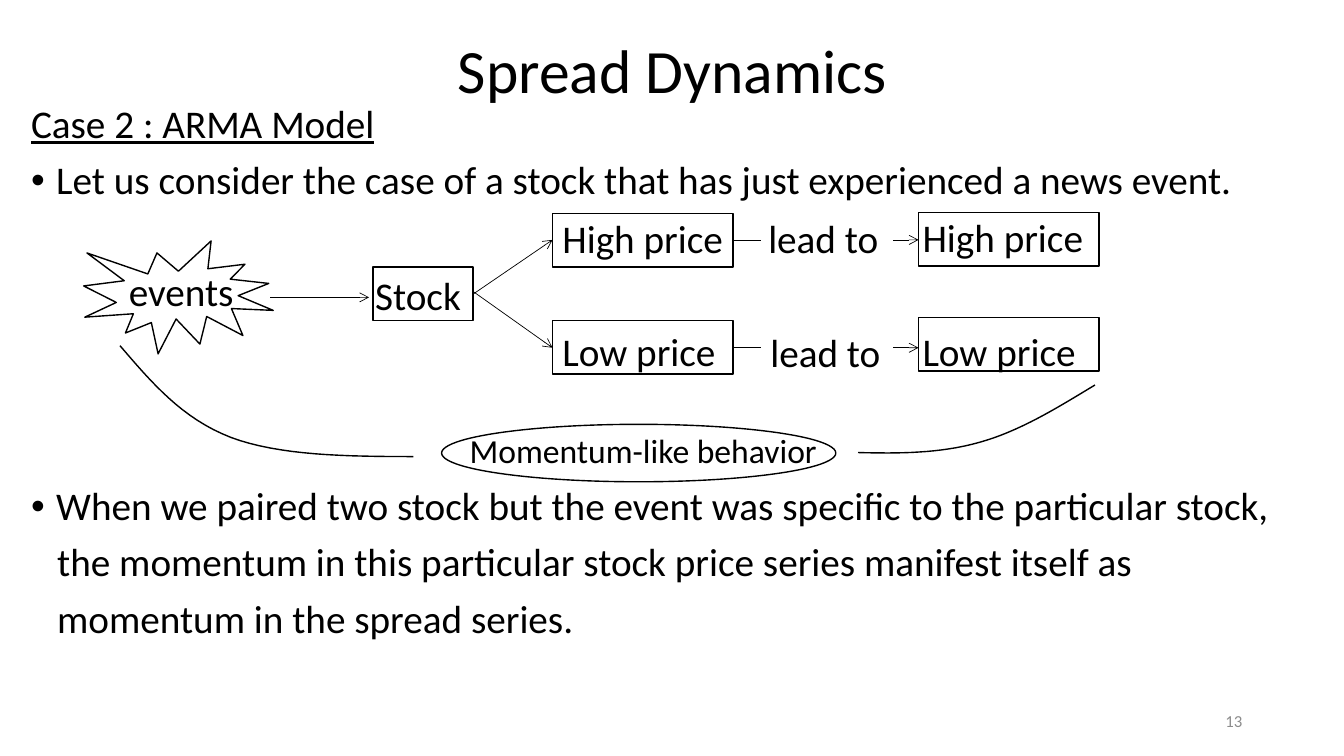
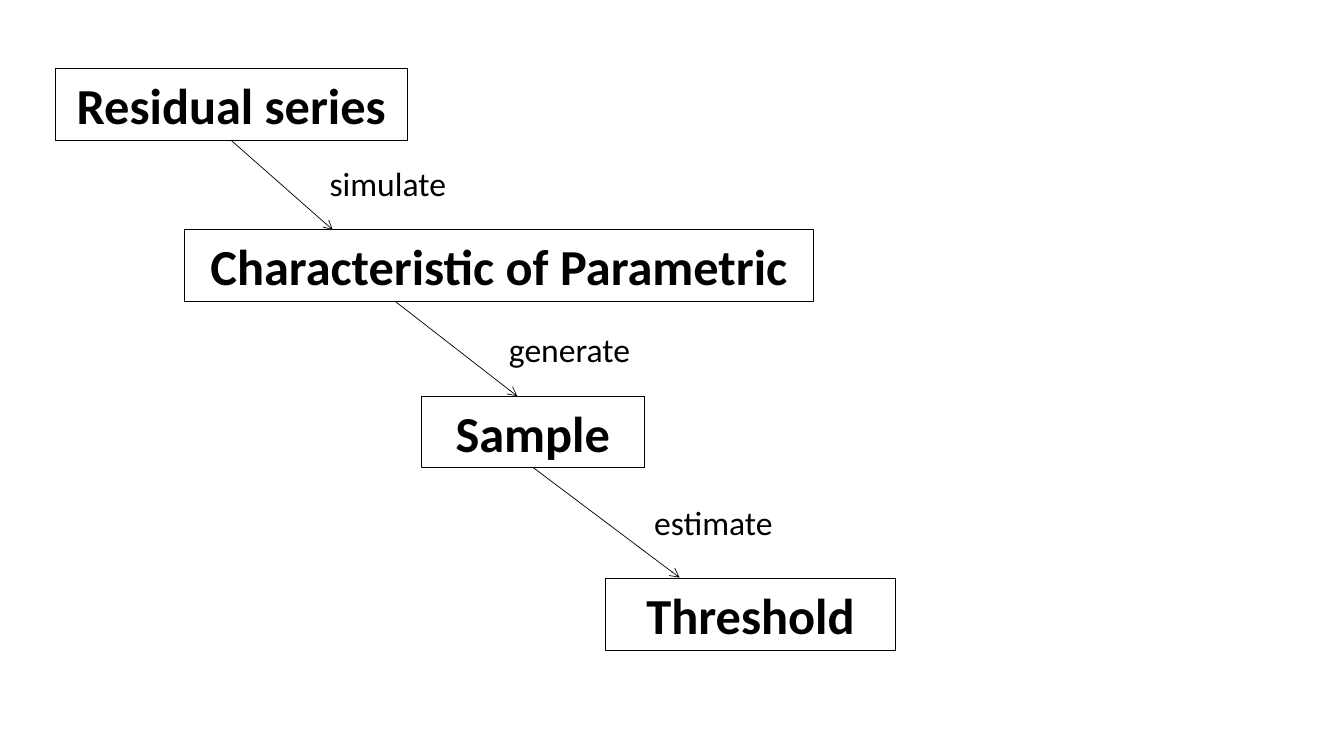
from pptx import Presentation
from pptx.dml.color import RGBColor
from pptx.enum.shapes import MSO_CONNECTOR, MSO_SHAPE
from pptx.enum.text import MSO_ANCHOR, PP_ALIGN
from pptx.oxml import parse_xml
from pptx.oxml.ns import nsdecls
from pptx.util import Inches, Pt

BLACK = RGBColor(0x00, 0x00, 0x00)
GRAY = RGBColor(0x8C, 0x8C, 0x8C)
FONT = "Calibri"
RECT, OVAL, SEAL = MSO_SHAPE.RECTANGLE, MSO_SHAPE.OVAL, MSO_SHAPE.EXPLOSION1
LEFT, CENTER, RIGHT = PP_ALIGN.LEFT, PP_ALIGN.CENTER, PP_ALIGN.RIGHT


def add_box(slide, at, text, size, kind=None, width=1, align=LEFT, left=0.1,
            drop=0, space=1.0, bold=False, color=BLACK):
    """Add an outlined shape, or a bare text box when kind is None."""
    at = [Inches(v) for v in at]
    if kind is None:
        box = slide.shapes.add_textbox(*at)
    else:
        box = slide.shapes.add_shape(kind, *at)
        box.shadow.inherit = False
        box.fill.background()
        box.line.color.rgb = BLACK
        box.line.width = Pt(width)
    frame = box.text_frame
    frame.word_wrap = kind not in (OVAL, SEAL)
    frame.vertical_anchor = MSO_ANCHOR.MIDDLE
    frame.margin_left, frame.margin_top = Inches(left), Inches(drop)
    frame.margin_right = frame.margin_bottom = 0
    if align == RIGHT:
        frame.margin_right = Inches(0.1)
    para = frame.paragraphs[0]
    para.alignment, para.line_spacing = align, space
    run = para.add_run()
    run.text = text
    font = run.font
    font.name, font.size, font.bold = FONT, Pt(size), bold
    font.color.rgb = color


def add_line(slide, start, end, arrow=True):
    ends = [Inches(v) for v in (*start, *end)]
    line = slide.shapes.add_connector(MSO_CONNECTOR.STRAIGHT, *ends)
    line.line.color.rgb = BLACK
    line.line.width = Pt(0.5)
    if arrow:
        line.line._get_or_add_ln().append(
            parse_xml(f'<a:tailEnd {nsdecls("a")} type="arrow"/>'))
    line._element.spPr.append(parse_xml(f'<a:effectLst {nsdecls("a")}/>'))


deck = Presentation()
deck.slide_width, deck.slide_height = Inches(13.33), Inches(7.5)

# Slide 1: spread dynamics
slide = deck.slides.add_slide(deck.slide_layouts[5])
title = slide.shapes.title
title.left, title.top = Inches(0.92), Inches(0)
title.width, title.height = Inches(11.5), Inches(1.45)
title.text_frame.vertical_anchor = MSO_ANCHOR.MIDDLE
para = title.text_frame.paragraphs[0]
para.alignment, para.line_spacing = CENTER, 0.9
run = para.add_run()
run.text = "Spread Dynamics"
run.font.name, run.font.size = FONT, Pt(44)
run.font.color.rgb = BLACK

# Each line of text: words, indent, bullet, underline
blocks = [
    (0.99, 1.2, [
        ("Case 2 : ARMA Model", 0, False, True),
        ("Let us consider the case of a stock that has just experienced a news event.",
         0.25, True, False)]),
    (4.78, 1.8, [
        ("When we paired two stock but the event was specific to the particular stock,",
         0.25, True, False),
        ("the momentum in this particular stock price series manifest itself as",
         0.26, False, False),
        ("momentum in the spread series.", 0.26, False, False)]),
]
for top, height, lines in blocks:
    body = slide.shapes.add_textbox(
        Inches(0.21), Inches(top), Inches(12.83), Inches(height))
    frame = body.text_frame
    frame.word_wrap = True
    for n, (text, indent, bullet, under) in enumerate(lines):
        para = frame.add_paragraph() if n else frame.paragraphs[0]
        para.line_spacing = 0.9
        if n:
            para.space_before = Pt(10)
        props = para._p.get_or_add_pPr()
        props.set("marL", str(Inches(indent)))
        if bullet:
            props.set("indent", str(-Inches(indent)))
            props.append(parse_xml(f'<a:buFont {nsdecls("a")} typeface="Arial"/>'))
            props.append(parse_xml(f'<a:buChar {nsdecls("a")} char="•"/>'))
        run = para.add_run()
        run.text = text
        run.font.name, run.font.size = FONT, Pt(28)
        run.font.underline = under
        run.font.color.rgb = BLACK

add_box(slide, (0.83, 2.39, 1.88, 1.12), "events", 28, SEAL,
        align=CENTER, left=0.08, space=0.9)
add_box(slide, (3.7, 2.65, 0.99, 0.53), "Stock", 28, RECT,
        left=0.02, drop=0.07, space=0.9)
add_line(slide, (2.68, 2.95), (3.66, 2.95))

# Each price row: words, box tops, text drops, line height, fork start, label
rows = [
    ("High price", 2.12, 2.11, 0, 0, 2.38, 2.92, 7.62, 2.12),
    ("Low price", 3.18, 3.15, 0.13, 0.19, 3.45, 2.89, 7.64, 3.25),
]
for text, near, far, drop, sink, mid, fork, left, top in rows:
    add_box(slide, (5.48, near, 1.79, 0.53), text, 28, RECT,
            drop=drop, space=0.9)
    add_box(slide, (9.11, far, 1.79, 0.53), text, 28, RECT,
            left=0.04, drop=sink, space=0.9)
    add_box(slide, (left, top, 1.2, 0.53), "lead to", 28, left=0, space=0.9)
    add_line(slide, (4.69, fork), (5.48, mid))
    add_line(slide, (7.27, mid), (7.55, mid), arrow=False)
    add_line(slide, (8.86, mid), (9.11, mid))

add_box(slide, (4.38, 4.21, 3.91, 0.57), "Momentum-like behavior", 24, OVAL,
        align=CENTER, left=0.09, space=0.9)

# Each curve: a start point, then two Bezier arcs joined end to end
curves = [
    [(1.19, 3.43), (1.5, 3.79), (1.8, 4.15), (2.29, 4.34),
     (2.77, 4.52), (3.44, 4.53), (4.1, 4.53)],
    [(8.51, 4.49), (8.91, 4.5), (9.32, 4.5), (9.71, 4.39),
     (10.11, 4.28), (10.48, 4.05), (10.86, 3.82)],
]
STEPS = 16
for knots in curves:
    dots = []
    for first in (0, 3):
        arc = knots[first:first + 4]
        for step in range(1, STEPS + 1):
            t = step / STEPS
            parts = ((1 - t) ** 3, 3 * t * (1 - t) ** 2, 3 * t * t * (1 - t), t ** 3)
            dots.append([Inches(sum(w * p[axis] for w, p in zip(parts, arc)))
                         for axis in (0, 1)])
    x, y = knots[0]
    pen = slide.shapes.build_freeform(Inches(x), Inches(y))
    pen.add_line_segments(dots, close=False)
    curve = pen.convert_to_shape()
    curve.shadow.inherit = False
    curve.fill.background()
    curve.line.color.rgb = BLACK
    curve.line.width = Pt(1)

add_box(slide, (9.42, 6.95, 3, 0.4), "13", 12, align=RIGHT, color=GRAY)

# Slide 2: steps from residuals to threshold
slide = deck.slides.add_slide(deck.slide_layouts[6])
steps = [
    ("Residual series", 0.55, 0.68, 3.49),
    ("Characteristic of Parametric", 1.83, 2.28, 6.24),
    ("Sample", 4.18, 3.93, 2.21),
    ("Threshold", 6.01, 5.74, 2.87),
]
for text, left, top, width in steps:
    add_box(slide, (left, top, width, 0.71), text, 36, RECT, width=0.75,
            align=CENTER, left=0, bold=True)

links = [
    ("simulate", 3.17, 1.57, (2.29, 1.39), (3.3, 2.28)),
    ("generate", 4.95, 3.21, (3.92, 2.99), (5.13, 3.93)),
    ("estimate", 6.39, 4.93, (5.29, 4.64), (6.74, 5.73)),
]
for text, left, top, start, end in links:
    add_line(slide, start, end)
    add_box(slide, (left, top, 3.94, 0.5), text, 24)

deck.save("out.pptx")
